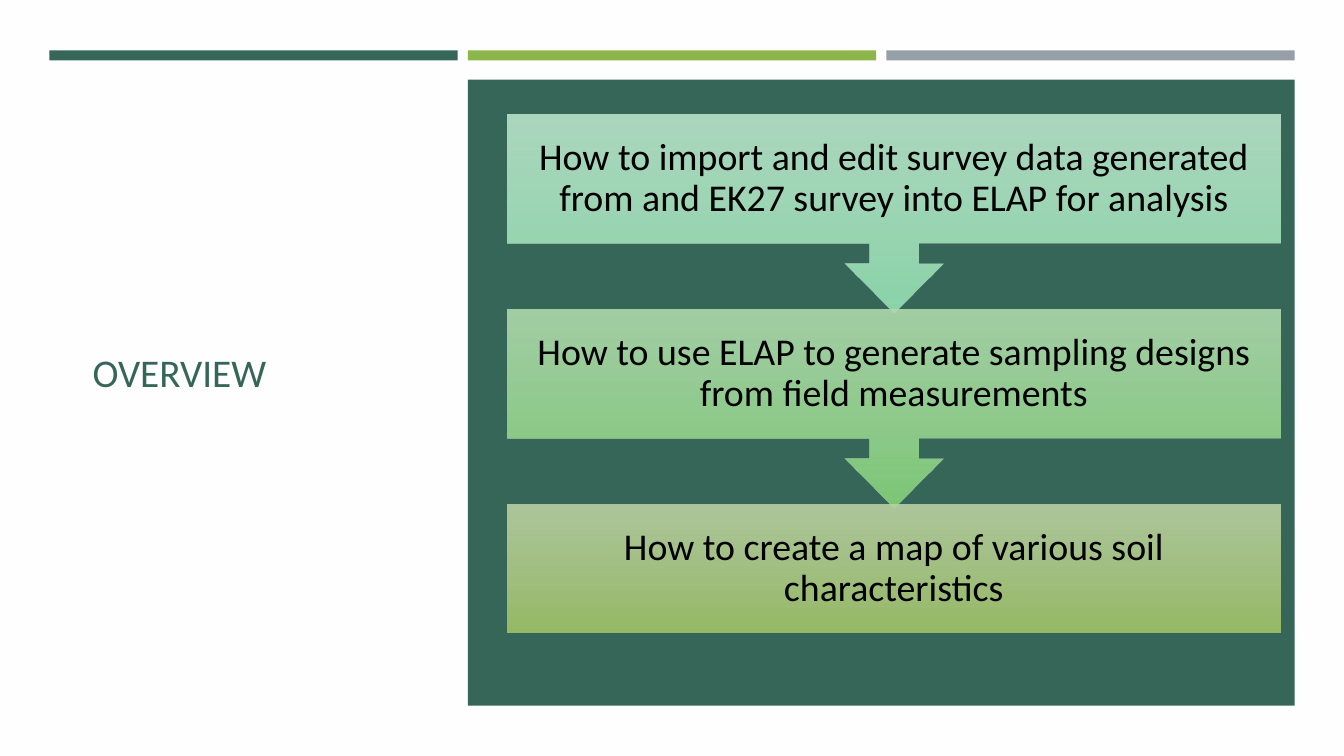
import pptx
import pptx.util
import pptx.dml.color
import pptx.enum.shapes
import pptx.enum.text
import pptx.oxml
import pptx.oxml.ns

INCH = pptx.util.Inches
KIND = pptx.enum.shapes.MSO_SHAPE
ALIGN = pptx.enum.text.PP_ALIGN
WIDE, HIGH = 13.33, 7.5
LEFT, COL, GAP = 0.49, 4.05, 0.1

COLORS = {
    "paper": "FFFEFF", "pine": "366658", "leaf": "8CB64A",
    "gray": "969FA7", "ink": "000000",
}
STEPS = [
    ("How to import and edit survey data generated from and EK27 survey "
     "into ELAP for analysis", "B9E4CA", "8CD5AA"),
    ("How to use ELAP to generate sampling designs from field measurements",
     "B0DAAD", "7DC877"),
    ("How to create a map of various soil characteristics",
     "BBD1A3", "96BA66"),
]


def rgb(code):
    return pptx.dml.color.RGBColor.from_string(code)


def add_form(slide, kind, box):
    form = slide.shapes.add_shape(kind, *map(INCH, box))
    form.shadow.inherit = False
    form.line.fill.background()
    return form


def add_rect(slide, box, color):
    form = add_form(slide, KIND.RECTANGLE, box)
    form.fill.solid()
    form.fill.fore_color.rgb = rgb(COLORS[color])


def set_text(form, text, size, color, align, inset):
    frame = form.text_frame
    frame.word_wrap = True
    frame.vertical_anchor = pptx.enum.text.MSO_ANCHOR.MIDDLE
    frame.margin_left = frame.margin_right = INCH(inset)
    frame.margin_top = frame.margin_bottom = INCH(inset)
    para = frame.paragraphs[0]
    para.text = text
    para.alignment = align
    para.line_spacing = 0.9
    para.font.name = "Calibri"
    para.font.size = pptx.util.Pt(size)
    para.font.color.rgb = rgb(COLORS[color])


def fade(form, top, bottom):
    """Fill from top to bottom, with the top stop at 90% opacity."""
    form.fill.gradient()
    form.fill.gradient_angle = 270
    for stop, code, place in zip(form.fill.gradient_stops, (top, bottom), (0, 1)):
        stop.color.rgb = rgb(code)
        stop.position = place
    first = form._element.spPr.find(".//" + pptx.oxml.ns.qn("a:srgbClr"))
    first.append(pptx.oxml.parse_xml(
        f'<a:alpha {pptx.oxml.ns.nsdecls("a")} val="90000"/>'))


def add_bars(slide, left, top, high):
    for col, color in enumerate(("pine", "leaf", "gray")):
        add_rect(slide, (left + col * (COL + GAP), top, COL, high), color)


def add_title(slide, box):
    form = slide.shapes.add_textbox(*map(INCH, box))
    set_text(form, "OVERVIEW", 28, "pine", ALIGN.LEFT, 0.1)


def add_steps(slide, box):
    """Stack the steps; all but the last are callouts pointing down."""
    left, top, wide, high = box
    body = 1.27
    pitch = (high - body) / (len(STEPS) - 1)
    for row, (text, light, dark) in enumerate(STEPS):
        last = row == len(STEPS) - 1
        kind = KIND.RECTANGLE if last else KIND.DOWN_ARROW_CALLOUT
        tall = body if last else 1.96
        form = add_form(slide, kind, (left, top + row * pitch, wide, tall))
        fade(form, light, dark)
        set_text(form, text, 27, "ink", ALIGN.CENTER, 0.21)


def main():
    deck = pptx.Presentation()
    deck.slide_width, deck.slide_height = INCH(WIDE), INCH(HIGH)
    slide = deck.slides.add_slide(deck.slide_layouts[6])
    add_rect(slide, (0, 0, WIDE, HIGH), "paper")
    add_title(slide, (0.82, 1.14, 3.34, 5.15))
    add_bars(slide, LEFT, 0.5, 0.1)
    add_rect(slide, (LEFT + COL + GAP, 0.79, 2 * COL + GAP, 6.21), "pine")
    add_steps(slide, (5.03, 1.14, 7.67, 5.14))
    deck.save("out.pptx")


if __name__ == "__main__":
    main()
